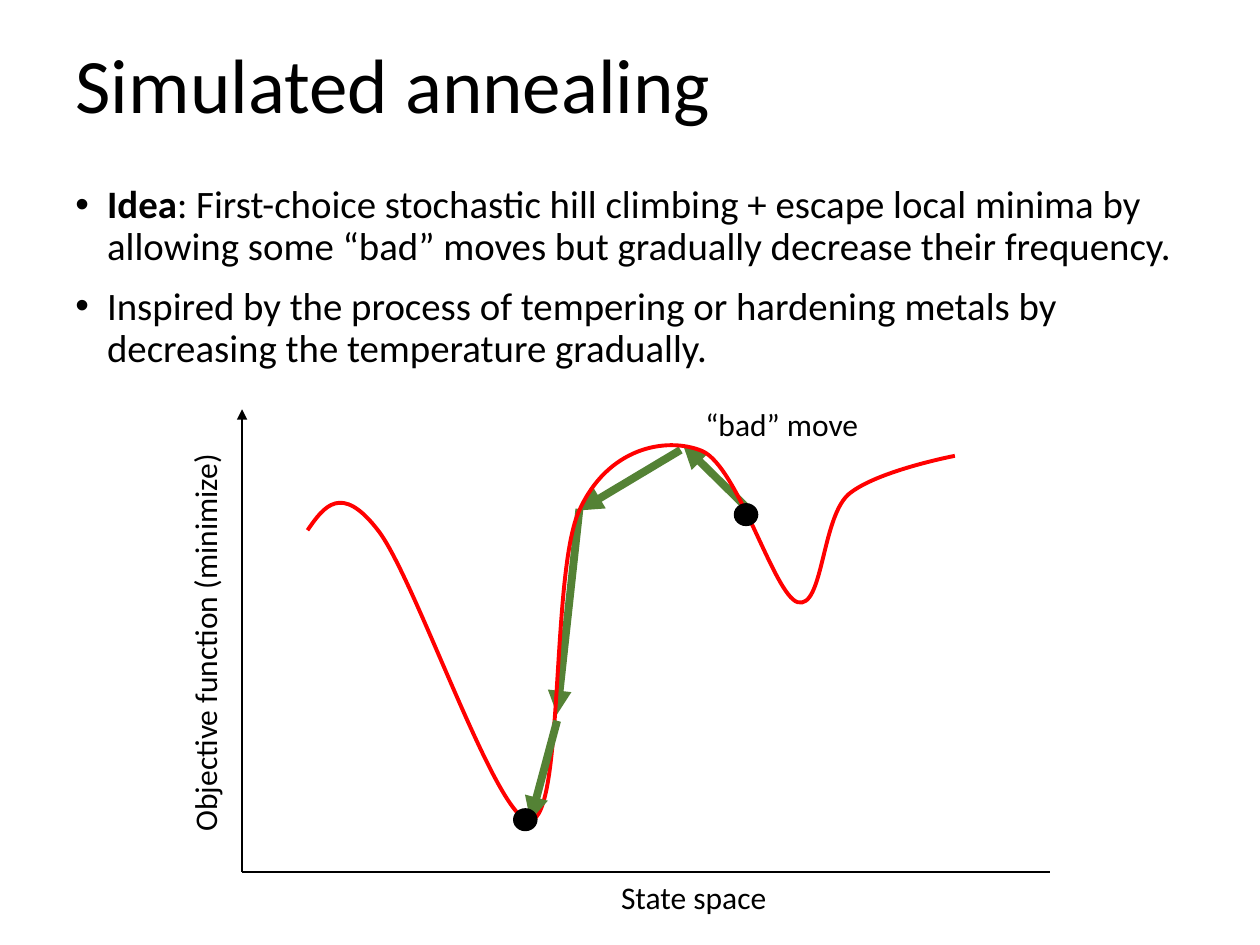
from lxml.etree import SubElement
from pptx import Presentation
from pptx.dml.color import RGBColor
from pptx.enum.shapes import MSO_CONNECTOR, MSO_SHAPE
from pptx.enum.text import MSO_ANCHOR, MSO_AUTO_SIZE, PP_ALIGN
from pptx.oxml.ns import qn
from pptx.util import Cm, Pt

BLACK = RGBColor(0x00, 0x00, 0x00)
RED = RGBColor(0xFF, 0x00, 0x00)
GREEN = RGBColor(0x54, 0x82, 0x35)

ORIGIN = (4.88, 17.58)
AXIS_TOP = (4.88, 8.25)
AXIS_RIGHT = (21.16, 17.58)
CURVE_START = (6.2, 10.69)
# Each row holds two control points and the end point of one Bezier segment.
CURVE_SEGMENTS = [
    ((6.53, 10.21), (6.88, 9.73), (7.62, 10.69)),
    ((8.38, 11.66), (10.03, 16.61), (10.69, 16.54)),
    ((11.38, 16.48), (11.1, 11.53), (11.68, 10.29)),
    ((12.24, 9.04), (13.41, 8.79), (14.15, 9.09)),
    ((14.88, 9.4), (15.6, 11.99), (16.08, 12.14)),
    ((16.59, 12.29), (16.56, 10.49), (17.09, 9.98)),
    ((17.63, 9.5), (19.25, 9.19), (19.25, 9.19)),
]
MOVES = [
    ((15.11, 10.29), (13.77, 8.97)),
    ((13.72, 9.07), (11.68, 10.29)),
    ((11.68, 10.26), (11.23, 14.4)),
]
LAST_MOVE = ((11.23, 14.53), (10.69, 16.54))
STATES = [(10.36, 16.31), (14.81, 10.16)]
BULLETS = [
    [("Idea", True),
     (": First-choice stochastic hill climbing + escape local minima by allowing "
      "some “bad” moves but gradually decrease their frequency.", False)],
    [("Inspired by the process of tempering or hardening metals by decreasing "
      "the temperature gradually.", False)],
]


def apply(target, values):
    for name, value in values.items():
        setattr(target, name, value)


class SlideBuilder:
    def __init__(self, page, font="Calibri"):
        self.page = page
        self.font = font

    def place(self, shape, left, top, width, height):
        apply(shape, {"left": Cm(left), "top": Cm(top),
                      "width": Cm(width), "height": Cm(height)})

    def add_span(self, para, text, size, bold=False):
        span = para.add_run()
        span.text = text
        apply(span.font, {"name": self.font, "size": Pt(size), "bold": bold})
        span.font.color.rgb = BLACK

    def title(self, text, *bounds):
        box = self.page.shapes.title
        self.place(box, *bounds)
        apply(box.text_frame, {"vertical_anchor": MSO_ANCHOR.MIDDLE,
                               "word_wrap": True,
                               "auto_size": MSO_AUTO_SIZE.NONE})
        para = box.text_frame.paragraphs[0]
        apply(para, {"alignment": PP_ALIGN.LEFT, "line_spacing": 0.9})
        self.add_span(para, text, 44)

    def bullets(self, items, *bounds):
        frame = self.page.shapes.add_textbox(*map(Cm, bounds)).text_frame
        frame.word_wrap = True
        for index, spans in enumerate(items):
            para = frame.add_paragraph() if index else frame.paragraphs[0]
            apply(para, {"line_spacing": 0.9, "space_before": Pt(10 if index else 0)})
            properties = para._p.get_or_add_pPr()
            properties.set("marL", str(Cm(0.64)))
            properties.set("indent", str(-Cm(0.64)))
            SubElement(properties, qn("a:buFont"), typeface="Arial")
            SubElement(properties, qn("a:buChar"), char="•")
            for text, bold in spans:
                self.add_span(para, text, 22.2, bold)

    def label(self, text, *bounds, rotation=0, wrap=True):
        box = self.page.shapes.add_textbox(*map(Cm, bounds))
        box.rotation = rotation
        apply(box.text_frame, {"word_wrap": wrap,
                               "auto_size": MSO_AUTO_SIZE.SHAPE_TO_FIT_TEXT})
        self.add_span(box.text_frame.paragraphs[0], text, 18)

    def line(self, start, end, color, width, arrow=True):
        connector = self.page.shapes.add_connector(
            MSO_CONNECTOR.STRAIGHT, *map(Cm, start + end))
        connector.line.color.rgb = color
        connector.line.width = Pt(width)
        if arrow:
            SubElement(connector.get_or_add_ln(), qn("a:tailEnd"), type="triangle")
        SubElement(connector._element.spPr, qn("a:effectLst"))

    def dot(self, left, top):
        shape = self.page.shapes.add_shape(
            MSO_SHAPE.OVAL, Cm(left), Cm(top), Cm(0.46), Cm(0.43))
        shape.shadow.inherit = False
        shape.fill.solid()
        shape.fill.fore_color.rgb = BLACK
        shape.line.color.rgb = BLACK
        shape.line.width = Pt(1)

    def curve(self, start, segments, color, width):
        """Outline the end points, then turn each straight side into a Bezier."""
        builder = self.page.shapes.build_freeform(*map(Cm, start))
        builder.add_line_segments(
            [tuple(map(Cm, segment[-1])) for segment in segments], close=False)
        shape = builder.convert_to_shape()
        shape.shadow.inherit = False
        shape.fill.background()
        shape.line.color.rgb = color
        shape.line.width = Pt(width)
        sides = list(shape._element.iter(qn("a:lnTo")))
        for side, segment in zip(sides, segments):
            side.tag = qn("a:cubicBezTo")
            side.remove(side[0])
            for x, y in segment:
                SubElement(side, qn("a:pt"), x=str(Cm(x) - shape.left),
                           y=str(Cm(y) - shape.top))


def main():
    deck = Presentation()
    apply(deck, {"slide_width": Cm(25.4), "slide_height": Cm(19.05)})
    builder = SlideBuilder(deck.slides.add_slide(deck.slide_layouts[5]))

    builder.title("Simulated annealing", 1.27, 0.2, 22.86, 3.18)
    builder.bullets(BULLETS, 1.27, 3.61, 22.86, 4.01)
    for start, end in MOVES:
        builder.line(start, end, GREEN, 4.5)
    builder.label("“bad” move", 13.97, 8.05, 3.81, 1.02)
    builder.curve(CURVE_START, CURVE_SEGMENTS, RED, 2.25)
    builder.line(*LAST_MOVE, GREEN, 4.5)
    builder.line(ORIGIN, AXIS_TOP, BLACK, 1)
    builder.line(ORIGIN, AXIS_RIGHT, BLACK, 1, arrow=False)
    for state in STATES:
        builder.dot(*state)
    builder.label("Objective function (minimize)", 0.03, 12.4, 8.2, 1.02,
                  rotation=270, wrap=False)
    builder.label("State space", 12.27, 17.58, 8.46, 1.02)
    deck.save("out.pptx")


if __name__ == "__main__":
    main()
